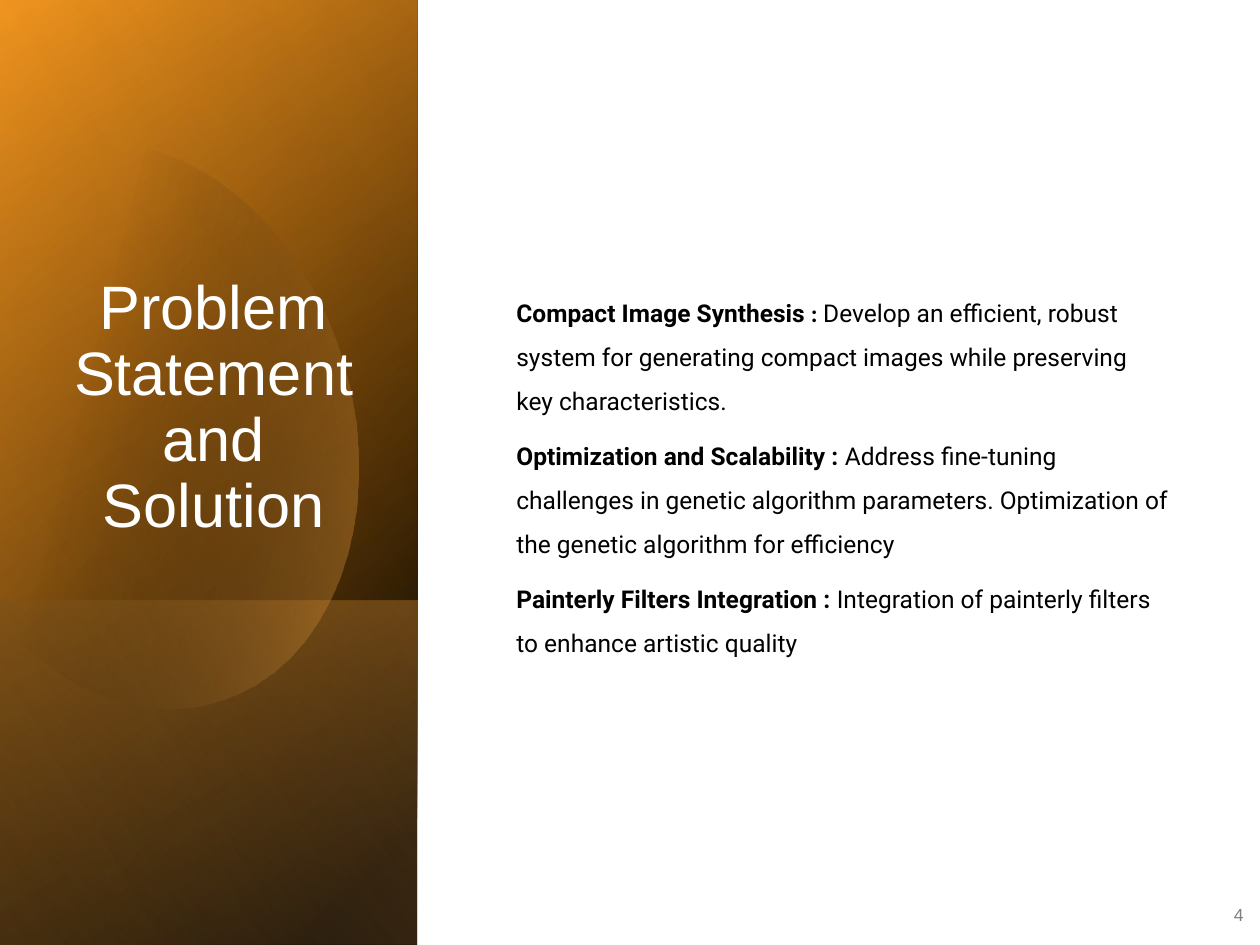
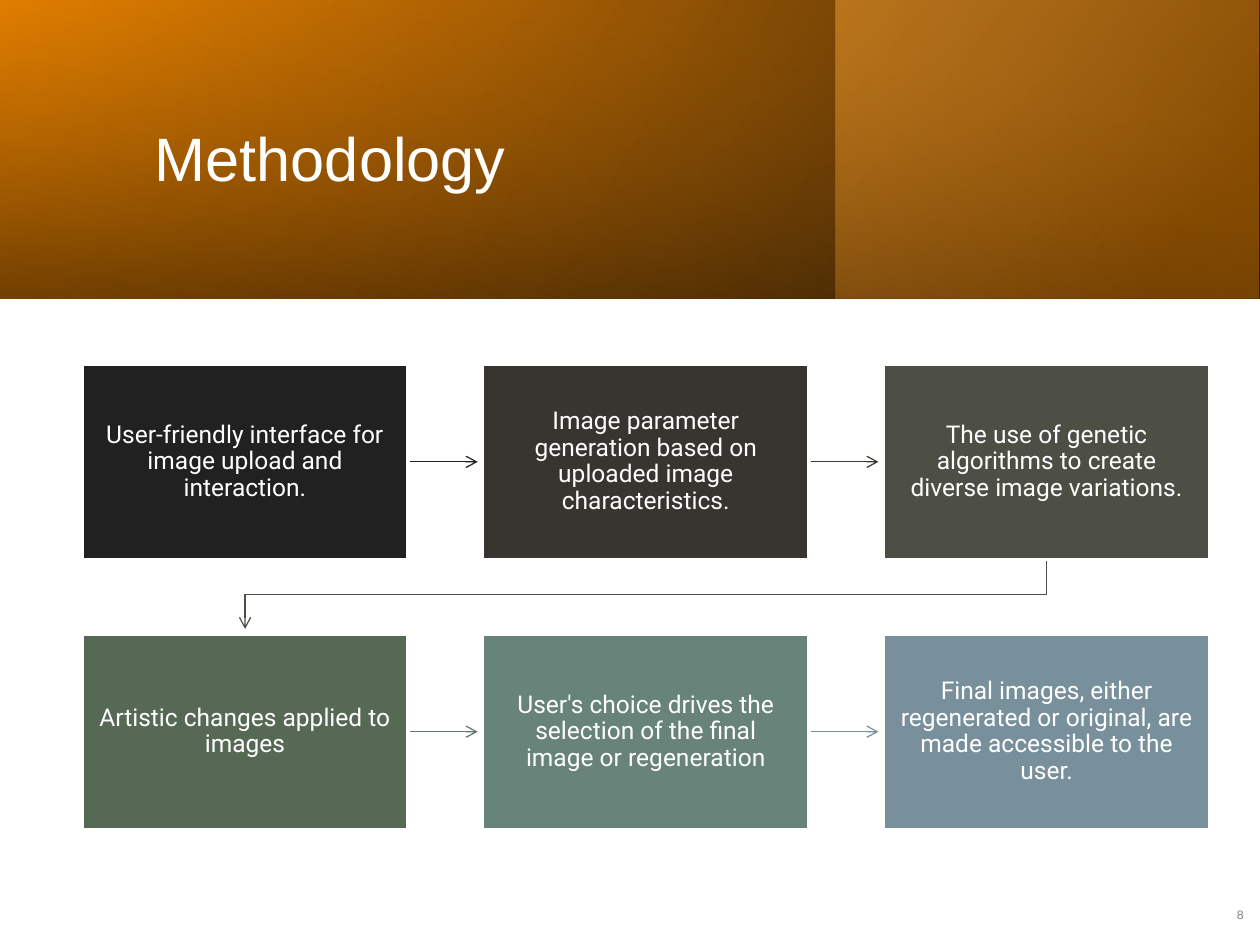
from dataclasses import dataclass

from pptx import Presentation
from pptx.dml.color import RGBColor
from pptx.enum.shapes import MSO_CONNECTOR, MSO_SHAPE
from pptx.enum.text import MSO_ANCHOR, MSO_AUTO_SIZE, PP_ALIGN
from pptx.oxml import parse_xml
from pptx.oxml.ns import nsdecls
from pptx.util import Cm, Pt


@dataclass(frozen=True)
class Theme:
    orange: str = "EF8600"
    amber: str = "FFAB40"
    cream: str = "FFCD8C"
    brown: str = "A05900"
    black: str = "000000"
    white: str = "FFFFFF"
    grey: str = "808080"
    steps: tuple = ("212121", "383530", "4D4F45", "566955", "67837A", "78909C")
    arrows: tuple = ("212121", "3B3933", "4D4F45", "5F7A6C", "78909C")
    title_font: str = "Arial"
    body_font: str = "Roboto"
    colon_font: str = "Calibri"
    title_size: int = 35
    body_size: int = 14


T = Theme()
SLIDE_W, SLIDE_H = 25.4, 19.05
SIDE_W = 8.41
BAND_H = 6.02

# Process grid, in cm
GRID_X, GRID_Y = 1.65, 7.34
STEP_X, STEP_Y = 8.08, 5.44
BOX_W, BOX_H = 6.58, 3.94
ARROW_GAP = 0.1

PROBLEMS = [
    [("Compact Image Synthesis", True, T.body_font),
     (" : ", True, T.colon_font),
     ("Develop an efficient, robust system for generating compact images "
      "while preserving key characteristics.", False, T.body_font)],
    [("Optimization and Scalability : ", True, T.body_font),
     ("Address fine-tuning challenges in genetic algorithm parameters. "
      "Optimization of the genetic algorithm for efficiency", False, T.body_font)],
    [("Painterly Filters Integration : ", True, T.body_font),
     ("Integration of painterly filters to enhance artistic quality",
      False, T.body_font)],
]

STEPS = [
    "User-friendly interface for image upload and interaction.",
    "Image parameter generation based on uploaded image characteristics.",
    "The use of genetic algorithms to create diverse image variations.",
    "Artistic changes applied to images",
    "User's choice drives the selection of the final image or regeneration",
    "Final images, either regenerated or original, are made accessible to the user.",
]

# Outline of the egg on the side panel, in cm: lines (1 point) and curves (3 points)
EGG_START = (2.44, 2.9)
EGG = [
    [(4.34, 3.1), (6.2, 4.88), (6.93, 7.37)],
    [(7.8, 10.46), (6.65, 13.49), (4.34, 14.15)],
    [(2.9, 14.58), (1.35, 13.97), (0.18, 12.7)],
    [(0, 12.5)],
    [(0, 3.58)],
    [(0.36, 3.33), (0.74, 3.12), (1.14, 3.0)],
    [(1.57, 2.87), (2.01, 2.84), (2.44, 2.9)],
]


def set_values(obj, values):
    for name, value in values.items():
        setattr(obj, name, value)


def set_frame(sp, box):
    names = ("left", "top", "width", "height")
    set_values(sp, dict(zip(names, map(Cm, box))))


def format_frame(tf, anchor=MSO_ANCHOR.MIDDLE, margin=None):
    set_values(tf, {"word_wrap": True, "auto_size": MSO_AUTO_SIZE.NONE,
                    "vertical_anchor": anchor})
    if margin is not None:
        sides = ("left", "right", "top", "bottom")
        set_values(tf, {f"margin_{side}": Cm(margin) for side in sides})


def add_run(p, text, color, size, font, bold=False):
    r = p.add_run()
    r.text = text
    set_values(r.font, {"name": font, "size": Pt(size), "bold": bold})
    r.font.color.rgb = RGBColor.from_string(color)


def fill_gradient(sp, stops, angle):
    """Fill sp with (position %, colour, opacity %) stops and drop its line."""
    gs = "".join(
        f'<a:gs pos="{pos * 1000}"><a:srgbClr val="{color}">'
        f'<a:alpha val="{opacity * 1000}"/></a:srgbClr></a:gs>'
        for pos, color, opacity in stops)
    sp._element.spPr.append(parse_xml(
        f'<a:gradFill {nsdecls("a")} rotWithShape="1"><a:gsLst>{gs}</a:gsLst>'
        f'<a:lin ang="{angle * 60000}" scaled="0"/></a:gradFill>'))
    sp.line.fill.background()
    sp.shadow.inherit = False


def add_band(s, box, stops, angle, rotation=0):
    """Add a mirrored gradient rectangle that covers box after a quarter turn."""
    x, y, w, h = box
    if rotation:
        x, y, w, h = x + (w - h) / 2, y + (h - w) / 2, h, w
    sp = s.shapes.add_shape(MSO_SHAPE.RECTANGLE, *map(Cm, (x, y, w, h)))
    sp.rotation = rotation
    sp._element.spPr.xfrm.set("flipH", "1")
    fill_gradient(sp, stops, angle)


def curve_points(start, c1, c2, end, count=16):
    for i in range(1, count + 1):
        t = i / count
        u = 1 - t
        weights = (u ** 3, 3 * u * u * t, 3 * u * t * t, t ** 3)
        yield tuple(sum(k * pt[axis] for k, pt in zip(weights, (start, c1, c2, end)))
                    for axis in (0, 1))


def add_egg(s):
    points = [EGG_START]
    for part in EGG:
        points += curve_points(points[-1], *part) if len(part) == 3 else part
    emu = [(Cm(x), Cm(y)) for x, y in points]
    fb = s.shapes.build_freeform(*emu[0])
    fb.add_line_segments(emu[1:], close=True)
    fill_gradient(fb.convert_to_shape(), [(29, T.black, 0), (100, T.amber, 43)], 14)


def add_title(s, text, box, anchor, margin=None, **values):
    sp = s.shapes.title
    s.shapes._spTree.append(sp._element)  # above the bands
    set_frame(sp, box)
    format_frame(sp.text_frame, anchor, margin)
    p = sp.text_frame.paragraphs[0]
    set_values(p, values)
    add_run(p, text, T.white, T.title_size, T.title_font)


def add_number(s, number, size):
    sp = s.shapes.add_textbox(*map(Cm, (24.38, 17.93, 0.94, 1.02)))
    format_frame(sp.text_frame)
    p = sp.text_frame.paragraphs[0]
    p.alignment = PP_ALIGN.RIGHT
    add_run(p, str(number), T.grey, size, T.title_font)


def add_problems(s):
    sp = s.shapes.add_textbox(*map(Cm, (10.16, 3.58, 13.67, 11.81)))
    tf = sp.text_frame
    format_frame(tf)
    for i, runs in enumerate(PROBLEMS):
        p = tf.add_paragraph() if i else tf.paragraphs[0]
        set_values(p, {"line_spacing": 1.5, "space_after": Pt(6)})
        for text, bold, font in runs:
            add_run(p, text, T.black, T.body_size, font, bold)


def add_arrow(s, kind, start, end, color, rotation=0):
    cn = s.shapes.add_connector(kind, *map(Cm, (*start, *end)))
    cn.line.width = Pt(0.75)
    cn.line.color.rgb = RGBColor.from_string(color)
    cn.line._get_or_add_ln().append(
        parse_xml(f'<a:tailEnd {nsdecls("a")} type="arrow"/>'))
    spPr = cn._element.spPr
    spPr.append(parse_xml(f'<a:effectLst {nsdecls("a")}/>'))
    if rotation:
        spPr.xfrm.set("rot", str(rotation * 60000))


def step_origin(i):
    row, col = divmod(i, 3)
    return GRID_X + col * STEP_X, GRID_Y + row * STEP_Y


def add_step_arrow(s, i, color):
    """Join step i to the next one, turning back to the left at a row's end."""
    x, y = step_origin(i)
    next_x, next_y = step_origin(i + 1)
    if y == next_y:
        mid = y + BOX_H / 2
        add_arrow(s, MSO_CONNECTOR.STRAIGHT, (x + BOX_W, mid),
                  (next_x - ARROW_GAP, mid), color)
        return
    top, bottom = y + BOX_H, next_y - ARROW_GAP
    cx, cy = (x + next_x + BOX_W) / 2, (top + bottom) / 2
    half_w, half_h = (bottom - top) / 2, (x - next_x) / 2
    add_arrow(s, MSO_CONNECTOR.ELBOW, (cx - half_w, cy - half_h),
              (cx + half_w, cy + half_h), color, rotation=90)


def add_step(s, i, text, color):
    sp = s.shapes.add_shape(MSO_SHAPE.RECTANGLE,
                            *map(Cm, (*step_origin(i), BOX_W, BOX_H)))
    sp.fill.solid()
    sp.fill.fore_color.rgb = RGBColor.from_string(color)
    sp.line.width = Pt(2)
    sp.line.color.rgb = RGBColor.from_string(T.white)
    sp.shadow.inherit = False
    format_frame(sp.text_frame, margin=0.33)
    p = sp.text_frame.paragraphs[0]
    set_values(p, {"alignment": PP_ALIGN.CENTER, "line_spacing": 0.9})
    add_run(p, text, T.white, T.body_size, T.body_font)


def build_problem_slide(s):
    side = (0, 0, SIDE_W, SLIDE_H)
    foot = (0, 12.1, SIDE_W, SLIDE_H - 12.1)
    add_band(s, side, [(8, T.black, 100), (100, T.orange, 100)], 50, 90)
    add_band(s, side, [(0, T.black, 0), (99, T.amber, 46)], 30, 90)
    add_band(s, foot, [(2, T.amber, 29), (100, T.black, 30)], 130, 90)
    add_egg(s)
    add_band(s, side, [(0, T.black, 0), (99, T.cream, 11)], 120, 90)
    add_title(s, "Problem Statement and Solution", (0.97, 1.63, 6.68, 9.4),
              MSO_ANCHOR.BOTTOM, alignment=PP_ALIGN.CENTER, line_spacing=0.9)
    add_problems(s)
    add_number(s, 4, 10)


def build_method_slide(s):
    band = (0, 0, SLIDE_W, BAND_H)
    add_band(s, band, [(0, T.black, 96), (100, T.orange, 100)], 330)
    add_band(s, (16.84, 0, 8.54, BAND_H), [(19, T.brown, 68), (100, T.amber, 48)], 320)
    add_band(s, band, [(23, T.orange, 16), (99, T.black, 45)], 350, 270)
    add_title(s, "Methodology", (2.87, 0.97, 20.24, 4.37), MSO_ANCHOR.MIDDLE,
              margin=0.25, alignment=PP_ALIGN.LEFT)
    add_number(s, 8, 7)
    for i, color in enumerate(T.arrows):
        add_step_arrow(s, i, color)
    for i, (text, color) in enumerate(zip(STEPS, T.steps)):
        add_step(s, i, text, color)


def main():
    prs = Presentation()
    set_values(prs, {"slide_width": Cm(SLIDE_W), "slide_height": Cm(SLIDE_H)})
    title_only = prs.slide_layouts[5]
    for build in (build_problem_slide, build_method_slide):
        build(prs.slides.add_slide(title_only))
    prs.save("out.pptx")


if __name__ == "__main__":
    main()
